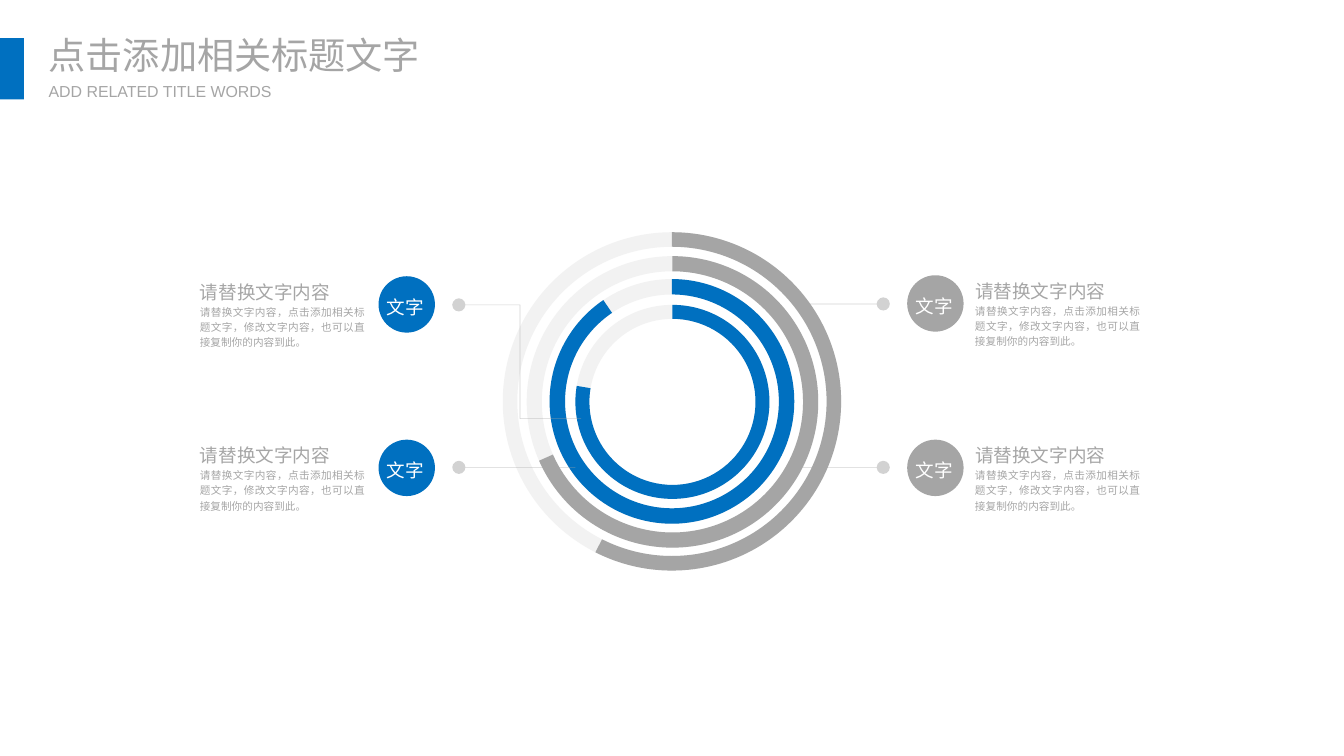
from lxml import etree
from pptx import Presentation
from pptx.dml.color import RGBColor
from pptx.enum.shapes import MSO_CONNECTOR, MSO_SHAPE
from pptx.enum.text import MSO_ANCHOR, MSO_AUTO_SIZE, PP_ALIGN
from pptx.oxml.ns import qn
from pptx.util import Emu, Pt

PX = 9144
FONT = "Arial"
COLORS = {
    "blue": "0070C0",
    "gray": "A5A5A5",
    "text": "A6A6A6",
    "track": "F2F2F2",
    "white": "FFFFFF",
}
RECT, OVAL = MSO_SHAPE.RECTANGLE, MSO_SHAPE.OVAL
DONUT, ARC = MSO_SHAPE.DONUT, MSO_SHAPE.BLOCK_ARC
STRAIGHT, ELBOW = MSO_CONNECTOR.STRAIGHT, MSO_CONNECTOR.ELBOW
TOP, MIDDLE = MSO_ANCHOR.TOP, MSO_ANCHOR.MIDDLE
LEFT, JUSTIFY = PP_ALIGN.LEFT, PP_ALIGN.JUSTIFY
NO_AUTOFIT = MSO_AUTO_SIZE.NONE

CENTER_X, CENTER_Y = 703, 420
TOP_ANGLE = 270
ANGLE_UNIT = 0.6

HEADING = "请替换文字内容"
BODY = "请替换文字内容，点击添加相关标题文字，修改文字内容，也可以直接复制你的内容到此。"
BADGE = "文字"

RINGS = [
    (354, 0.043, 116.88, "gray"),
    (305, 0.052, 156.21, "gray"),
    (256, 0.063, 235.9, "blue"),
    (203, 0.072, 189.49, "blue"),
]
ITEMS = [
    (949, 1020, 288, "gray"),
    (949, 1020, 460, "gray"),
    (396, 209, 289, "blue"),
    (396, 209, 460, "blue"),
]
LEADERS = [
    (STRAIGHT, 837, 318, 924, 318),
    (STRAIGHT, 831, 489, 924, 489),
    (STRAIGHT, 602, 489, 480, 489),
    (ELBOW, 608, 438, 480, 319),
]


def px(*values):
    return [Emu(v * PX) for v in values]


def rgb(name):
    return RGBColor.from_string(COLORS[name])


class Deck:
    """Draws styled elements on the current slide."""

    def __init__(self, width, height):
        self.prs = Presentation()
        self.prs.slide_width, self.prs.slide_height = px(width, height)
        self.s = self.prs.slides.add_slide(self.prs.slide_layouts[5])

    def set_text(self, tf, text, size, color, align=LEFT, spacing=None,
                 anchor=TOP, inset=(0, 0), wrap=True):
        tf.auto_size = NO_AUTOFIT
        tf.word_wrap = wrap
        tf.vertical_anchor = anchor
        tf.margin_left, tf.margin_top = px(*inset)
        tf.margin_right, tf.margin_bottom = px(*inset)
        p = tf.paragraphs[0]
        p.text = text
        p.alignment = align
        p.line_spacing = spacing
        p.font.name = FONT
        p.font.size = Pt(size)
        p.font.color.rgb = rgb(color)

    def title(self, text, x, y, w, h):
        sp = self.s.shapes.title
        sp.left, sp.top, sp.width, sp.height = px(x, y, w, h)
        self.set_text(sp.text_frame, text, 28, "gray", inset=(10, 5), wrap=False)

    def text(self, text, x, y, w, h, size, color, **style):
        sp = self.s.shapes.add_textbox(*px(x, y, w, h))
        self.set_text(sp.text_frame, text, size, color, **style)

    def shape(self, kind, x, y, w, h, color, adjustments=()):
        sp = self.s.shapes.add_shape(kind, *px(x, y, w, h))
        sp.shadow.inherit = False
        sp.fill.solid()
        sp.fill.fore_color.rgb = rgb(color)
        sp.line.fill.background()
        for i, value in enumerate(adjustments):
            sp.adjustments[i] = value
        return sp

    def ring(self, kind, diameter, color, adjustments):
        x, y = CENTER_X - diameter // 2, CENTER_Y - diameter // 2
        self.shape(kind, x, y, diameter, diameter, color, adjustments)

    def item(self, badge_x, text_x, y, color):
        sp = self.shape(OVAL, badge_x, y, 59, 59, color)
        self.set_text(sp.text_frame, BADGE, 14, "white", JUSTIFY, 1.2, MIDDLE)
        style = {"align": JUSTIFY, "spacing": 1.2}
        self.text(BODY, text_x, y + 28, 173, 48, 8, "text", **style)
        self.text(HEADING, text_x, y, 141, 28, 14, "text", **style)

    def leader(self, kind, x1, y1, x2, y2):
        c = self.s.shapes.add_connector(kind, *px(x1, y1, x2, y2))
        c.line.width = Pt(0.5)
        c.line.color.rgb = rgb("text")
        spPr = c._element.spPr
        clr = spPr.find(".//" + qn("a:srgbClr"))
        etree.SubElement(clr, qn("a:alpha"), val="50000")
        ln = spPr.find(qn("a:ln"))
        etree.SubElement(ln, qn("a:tailEnd"), type="oval", w="lg", len="lg")
        etree.SubElement(spPr, qn("a:effectLst"))


def main():
    deck = Deck(1406, 791)
    deck.title("点击添加相关标题文字", 41, 29, 414, 58)
    deck.text("ADD RELATED TITLE WORDS", 41, 80, 257, 31, 12, "gray",
              inset=(10, 5), wrap=False)
    deck.shape(RECT, 0, 40, 25, 64, "blue")
    for diameter, thickness, end, color in RINGS:
        deck.ring(DONUT, diameter, "track", [thickness])
        angles = [TOP_ANGLE * ANGLE_UNIT, end * ANGLE_UNIT]
        deck.ring(ARC, diameter, color, angles + [thickness])
    for item in ITEMS:
        deck.item(*item)
    for leader in LEADERS:
        deck.leader(*leader)
    deck.prs.save("out.pptx")


if __name__ == "__main__":
    main()
